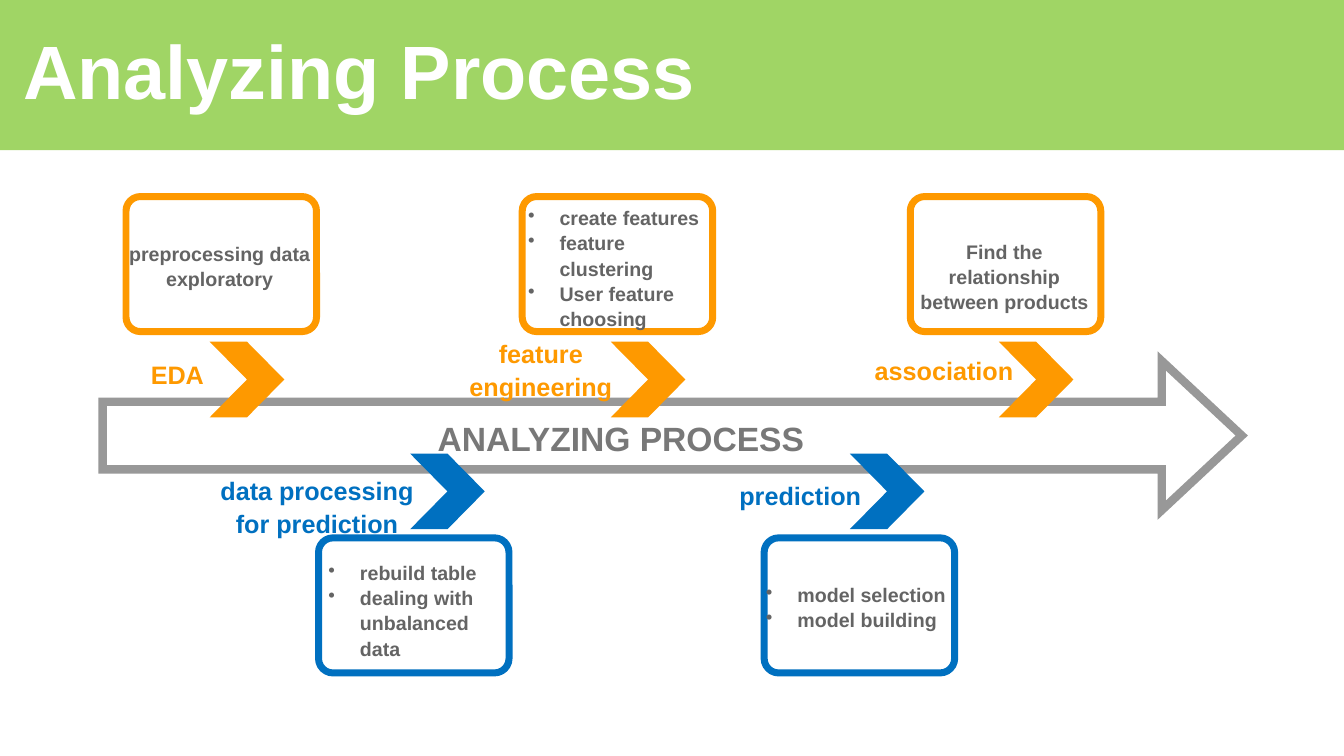
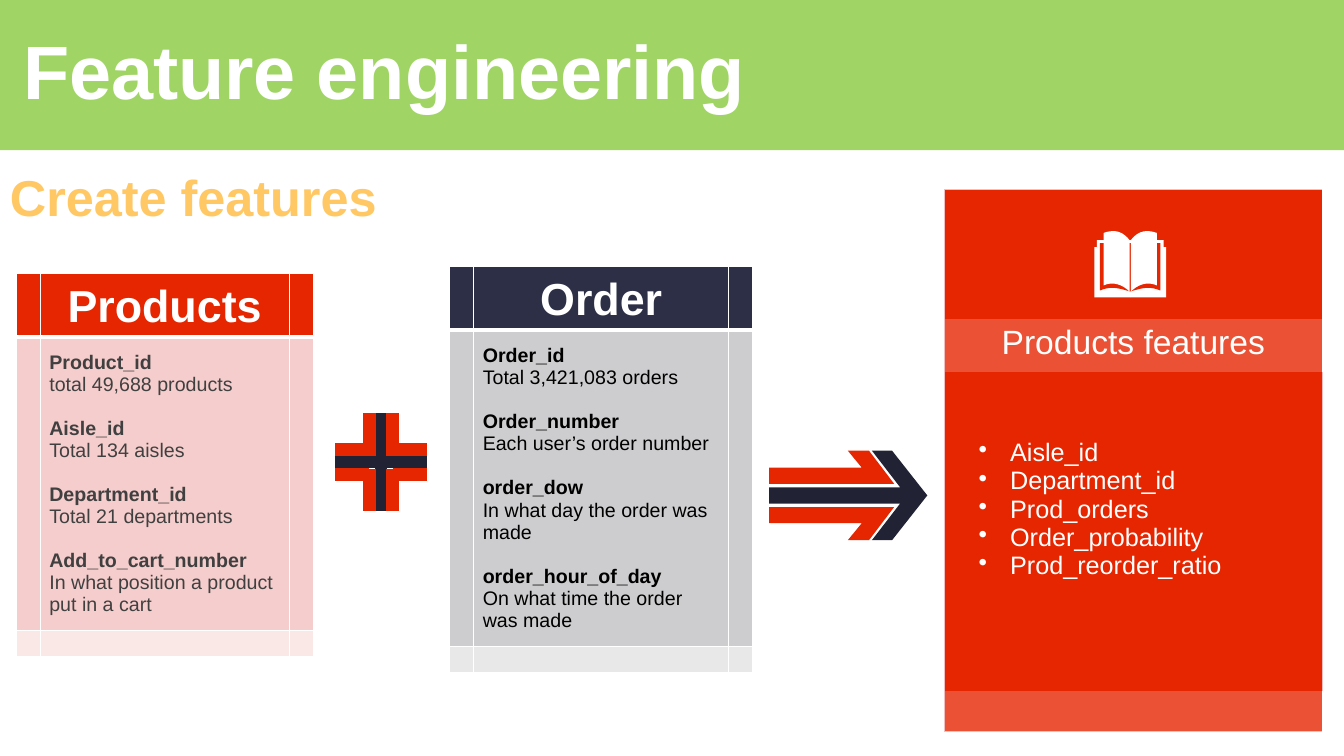
from lxml.etree import SubElement
from pptx import Presentation
from pptx.dml.color import RGBColor
from pptx.enum.shapes import MSO_CONNECTOR, MSO_SHAPE
from pptx.enum.text import MSO_ANCHOR, MSO_AUTO_SIZE, PP_ALIGN
from pptx.oxml.ns import qn
from pptx.util import Pt

FONT = "Arial"
GREEN, ORANGE, BLUE, AMBER = "A0D565", "FE9900", "0070C0", "FFC864"
RED, LIGHT_RED, PINK, NAVY, INK = "E62601", "EB5134", "F3BEBD", "2C2F45", "212334"
WHITE, BLACK, GREY, DARK_GREY = "FFFFFF", "000000", "989898", "646464"
PLAIN_TABLE = "{2D5ABB26-0587-4C30-8999-92F81FD0307C}"


def color(value):
    return RGBColor.from_string(value)


def write(para, text, size=14, ink=WHITE, bold=False, align=PP_ALIGN.LEFT,
          bullet=False, spacing=None, before=None):
    if bullet:
        properties = para._p.get_or_add_pPr()
        properties.set("marL", str(Pt(22.5)))
        properties.set("indent", str(Pt(-22.5)))
        SubElement(properties, qn("a:buChar"), char="•")
    para.alignment = align
    if spacing:
        para.line_spacing = spacing
    if before:
        para.space_before = Pt(before)
    span = para.add_run()
    span.text = text
    span.font.name = FONT
    span.font.size = Pt(size)
    span.font.bold = bold
    span.font.color.rgb = color(ink)


def write_lines(frame, lines, **style):
    for index, line in enumerate(lines):
        para = frame.add_paragraph() if index else frame.paragraphs[0]
        write(para, line, **style)


def add_text(page, at, lines, anchor=MSO_ANCHOR.TOP, **style):
    box = page.shapes.add_textbox(*map(Pt, at))
    frame = box.text_frame
    frame.word_wrap = True
    frame.vertical_anchor = anchor
    write_lines(frame, lines, **style)


def paint(shape, fill, line=None, width=0):
    shape.shadow.inherit = False
    shape.fill.solid()
    shape.fill.fore_color.rgb = color(fill)
    if line:
        shape.line.color.rgb = color(line)
        shape.line.width = Pt(width)
    else:
        shape.line.fill.background()


def add_shape(page, kind, at, fill, line=None, width=0, adjust=()):
    shape = page.shapes.add_shape(kind, *map(Pt, at))
    for index, value in enumerate(adjust):
        shape.adjustments[index] = value
    paint(shape, fill, line, width)
    return shape


def add_outline(page, origin, points, fill):
    placed = [(Pt(origin[0] + x), Pt(origin[1] + y)) for x, y in points]
    builder = page.shapes.build_freeform(*placed[0], scale=1.0)
    builder.add_line_segments(placed[1:], close=True)
    paint(builder.convert_to_shape(), fill)


def add_line(page, start, end, ink, width):
    line = page.shapes.add_connector(MSO_CONNECTOR.STRAIGHT, *map(Pt, start + end))
    line.line.color.rgb = color(ink)
    line.line.width = Pt(width)
    SubElement(line.element.spPr, qn("a:effectLst"))


def add_page(deck, heading):
    page = deck.slides.add_slide(deck.slide_layouts[5])
    title = page.shapes.title
    title.left, title.top, title.width, title.height = map(Pt, (0, 0, 960, 107.3))
    title.fill.solid()
    title.fill.fore_color.rgb = color(GREEN)
    frame = title.text_frame
    frame.auto_size = MSO_AUTO_SIZE.NONE
    frame.word_wrap = True
    frame.vertical_anchor = MSO_ANCHOR.MIDDLE
    frame.margin_left = Pt(16.5)
    write(frame.paragraphs[0], heading, size=54, bold=True, spacing=0.9)
    return page


def add_table(page, left, top, columns, rows):
    frame = page.shapes.add_table(len(rows), len(columns), Pt(left), Pt(top),
                                  Pt(sum(columns)), Pt(sum(rows)))
    table = frame.table
    table.first_row = table.horz_banding = False
    table._tbl.tblPr.find(qn("a:tableStyleId")).text = PLAIN_TABLE
    for column, width in zip(table.columns, columns):
        column.width = Pt(width)
    for row, height in zip(table.rows, rows):
        row.height = Pt(height)
    return table


def format_cell(cell, fill, borders):
    properties = cell._tc.get_or_add_tcPr()
    for side in "LRTB":
        if side in borders:
            ink, width = borders[side]
            line = SubElement(properties, qn(f"a:ln{side}"), w=str(Pt(width)))
            solid = SubElement(line, qn("a:solidFill"))
            SubElement(solid, qn("a:srgbClr"), val=ink)
    cell.fill.solid()
    cell.fill.fore_color.rgb = color(fill)


def shrink_empty(table):
    for cell in table.iter_cells():
        if not cell.text_frame.text:
            SubElement(cell.text_frame.paragraphs[0]._p, qn("a:endParaRPr"), sz="800")


def add_field_table(page, left, top, columns, body_height, heading, fields, fills, ink):
    table = add_table(page, left, top, columns, (44, body_height, 18.7))
    for row, fill in enumerate(fills):
        for column in range(3):
            borders = dict.fromkeys("LRTB", (WHITE, 1))
            if row == 0:
                borders["B"] = (WHITE, 3)
            elif row == 1:
                borders["T"] = (WHITE, 3)
            format_cell(table.cell(row, column), fill, borders)
    header, body = table.cell(0, 1), table.cell(1, 1)
    header.vertical_anchor = MSO_ANCHOR.BOTTOM
    body.vertical_anchor = MSO_ANCHOR.MIDDLE
    for cell in (header, body):
        cell.margin_left = cell.margin_right = Pt(6.5)
    write(header.text_frame.paragraphs[0], heading, size=32, bold=True,
          align=PP_ALIGN.CENTER)
    frame = body.text_frame
    for index, (name, detail) in enumerate(fields):
        para = frame.add_paragraph() if index else frame.paragraphs[0]
        write(para, name, ink=ink, bold=True, before=15.7 if index else None)
        write(frame.add_paragraph(), detail, ink=ink)
    shrink_empty(table)


def add_feature_card(page, left, top, heading, features):
    table = add_table(page, left, top, (16.6, 235.4, 16.6), (92.2, 38.2, 227.5, 28.8))
    edge = (PINK, 0.5)
    for row, fill in enumerate((RED, LIGHT_RED, RED, LIGHT_RED)):
        for column in range(3):
            sides = {"L": column == 0, "R": column == 2, "T": row == 0, "B": row == 3}
            borders = {side: edge for side, outer in sides.items() if outer}
            format_cell(table.cell(row, column), fill, borders)
        if row != 2:
            table.cell(row, 0).merge(table.cell(row, 2))
    write(table.cell(1, 0).text_frame.paragraphs[0], heading, size=24,
          align=PP_ALIGN.CENTER)
    body = table.cell(2, 1)
    body.vertical_anchor = MSO_ANCHOR.MIDDLE
    body.margin_bottom = Pt(35)
    write_lines(body.text_frame, features, size=18, bullet=True)
    shrink_empty(table)


def curve(start, first, second, end, steps=10):
    points = []
    for step in range(steps + 1):
        t = step / steps
        weights = ((1 - t) ** 3, 3 * t * (1 - t) ** 2, 3 * t * t * (1 - t), t ** 3)
        corners = (start, first, second, end)
        points.append(tuple(sum(w * corner[axis] for w, corner in zip(weights, corners))
                            for axis in (0, 1)))
    return points


def add_book(page, origin):
    cover = [(0, 6.5), (23.8, 6.5), (23.8, 11.5), (25.6, 11.5), (25.6, 47.5), (0, 47.5)]
    inlay = [(0, 8.6), (21.6, 8.6)] + curve((21.6, 42.5), (13, 39), (8, 41), (0, 43.2))
    leaf = (curve((0.5, 43.2), (6, 38), (12.5, 36), (19, 38.9))
            + curve((19, 1.4), (12, -1), (6, -0.5), (0.5, 6.5)))
    for half, fill in ((cover, WHITE), (inlay, RED), (leaf, WHITE)):
        for side in (-1, 1):
            add_outline(page, origin, [(side * x, y) for x, y in half], fill)


def add_plus(page, x, y):
    add_line(page, (x, y - 34.9), (x, y + 34.9), INK, 9)
    add_line(page, (x - 33, y), (x + 33, y), INK, 9)
    for across in (-1, 1):
        for down in (-1, 1):
            column, row = x + across * 8.4, y + down * 9
            add_line(page, (column, y + down * 4.7), (column, y + down * 34.9), RED, 9)
            add_line(page, (column, row), (x + across * 33, row), RED, 9)


def add_striped_arrow(page, origin):
    core = [(73.4, -32), (87.8, -32), (113, 0), (87.8, 32), (73.4, 32),
            (93.6, 5.8), (0, 5.8), (0, -5.8), (93.6, -5.8)]
    stripe = [(56.2, -32), (71.3, -32), (89.3, -8.3), (0, -8.3), (0, -19.8), (66.2, -19.8)]
    add_outline(page, origin, core, INK)
    for side in (1, -1):
        add_outline(page, origin, [(x, side * y) for x, y in stripe], RED)


def add_step(page, ink, chevron_x, label, label_at, card_x, lines, text_at, bullet):
    chevron_y, card_y = (244.1, 140.4) if ink == ORANGE else (324, 384.2)
    center = PP_ALIGN.CENTER
    add_shape(page, MSO_SHAPE.CHEVRON, (chevron_x, chevron_y, 53.3, 54), ink)
    add_text(page, label_at, [label], size=18, ink=ink, bold=True, align=center, spacing=1.07)
    add_shape(page, MSO_SHAPE.ROUNDED_RECTANGLE, (card_x, card_y, 136.1, 96.5), WHITE,
              ink, 5, (0.107,))
    add_text(page, text_at, lines, ink=DARK_GREY, bold=True, bullet=bullet, spacing=1.07,
             align=PP_ALIGN.LEFT if bullet else center)


def build_process(deck):
    page = add_page(deck, "Analyzing Process")
    arrow = add_shape(page, MSO_SHAPE.RIGHT_ARROW, (73.4, 257.8, 813.6, 106.6), WHITE,
                      GREY, 6, (0.453, 0.536))
    SubElement(arrow.element.spPr.find(qn("a:ln")), qn("a:miter"), lim="800000")
    add_text(page, (287.3, 293, 312.5, 36), ["ANALYZING PROCESS"], size=24, ink="787878",
             bold=True, align=PP_ALIGN.CENTER, spacing=1.07)
    steps = [
        (ORANGE, 149.8, "EDA", (57.6, 251.3, 138.2, 28.8), 90,
         ["preprocessing data exploratory"], (82.8, 167.8, 148.3, 41), False),
        (BLUE, 293, "data processing for prediction", (147.6, 334.8, 157.7, 51.1), 227.5,
         ["rebuild table", "dealing with unbalanced data"], (227.5, 396, 137.5, 75), True),
        (ORANGE, 436.3, "feature engineering", (319, 236.9, 134.6, 51.1), 373,
         ["create features", "feature clustering", "User feature choosing"],
         (370.1, 142.6, 138.2, 92), True),
        (BLUE, 607, "prediction", (509, 338.4, 125.3, 28.8), 545.8,
         ["model selection", "model building"], (540, 411.8, 148.3, 41), True),
        (ORANGE, 713.5, "association", (607, 249.1, 134.6, 28.8), 650.2,
         ["Find the relationship between products"], (648.7, 166.3, 137.5, 58.3), False),
    ]
    for step in steps:
        add_step(page, *step)


def build_features(deck):
    page = add_page(deck, "Feature engineering")
    add_text(page, (0, 114.5, 304.6, 51.1), ["Create features"], anchor=MSO_ANCHOR.MIDDLE,
             size=36, ink=AMBER, bold=True)
    add_feature_card(page, 674.6, 135.4, "Products features",
                     ["Aisle_id", "Department_id", "Prod_orders", "Order_probability",
                      "Prod_reorder_ratio"])
    add_field_table(page, 321.1, 190.1, (15.8, 182.2, 15.8), 226, "Order",
                    [("Order_id", "Total 3,421,083 orders"),
                     ("Order_number", "Each user’s order number"),
                     ("order_dow", "In what day the order was made"),
                     ("order_hour_of_day", "On what time the order was made")],
                    (NAVY, "CDCDCF", "E8E8E9"), BLACK)
    add_field_table(page, 11.5, 195.1, (15.8, 177.8, 15.8), 209.5, "Products",
                    [("Product_id", "total 49,688 products"),
                     ("Aisle_id", "Total 134 aisles"),
                     ("Department_id", "Total 21 departments"),
                     ("Add_to_cart_number", "In what position a product put in a cart")],
                    (RED, "F5CDCC", "FAE8E7"), "404040")
    add_striped_arrow(page, (549.4, 353.9))
    add_plus(page, 272.2, 330.1)
    add_book(page, (807.3, 165))


def main():
    deck = Presentation()
    deck.slide_width, deck.slide_height = Pt(960), Pt(540)
    build_process(deck)
    build_features(deck)
    deck.save("out.pptx")


if __name__ == "__main__":
    main()
